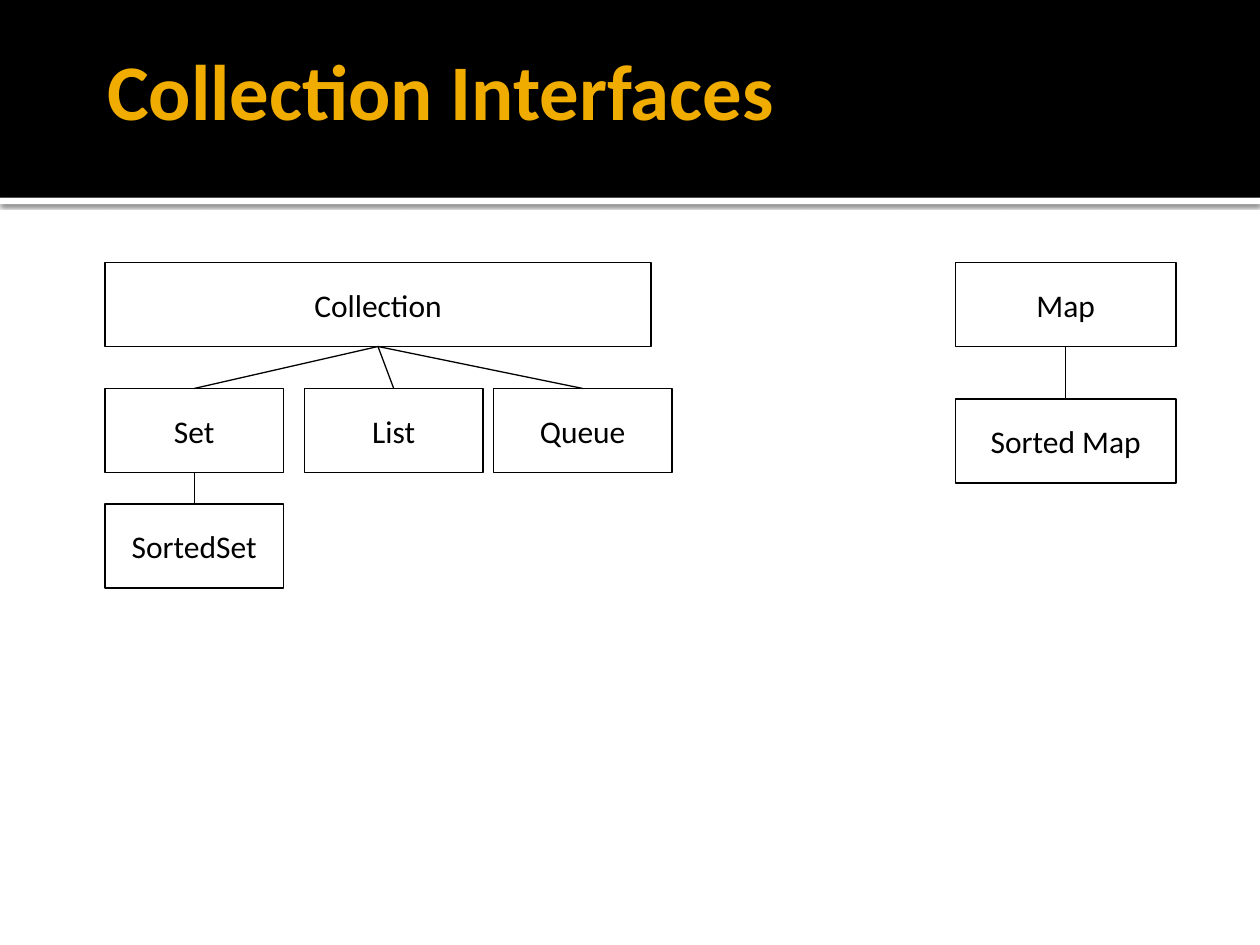
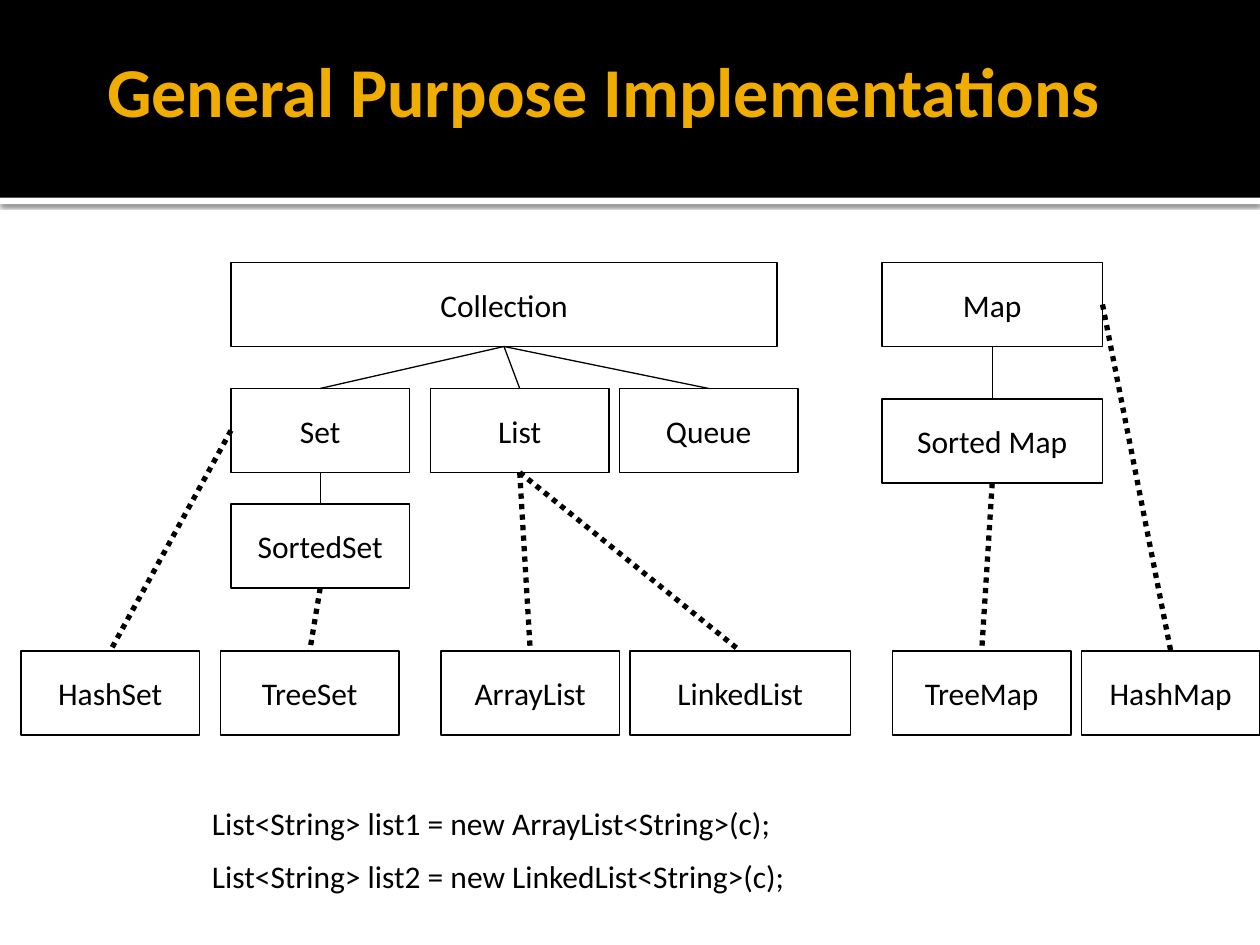
from lxml.etree import SubElement
from pptx import Presentation
from pptx.dml.color import RGBColor
from pptx.enum.dml import MSO_LINE
from pptx.enum.shapes import MSO_CONNECTOR, MSO_SHAPE
from pptx.enum.text import MSO_ANCHOR, MSO_AUTO_SIZE, PP_ALIGN
from pptx.oxml import parse_xml
from pptx.oxml.ns import qn
from pptx.util import Inches, Pt

HEX = {"ink": "000000", "paper": "FFFFFF", "gold": "F0AD00"}
RGB = {name: RGBColor.from_string(code) for name, code in HEX.items()}
FONT = "Calibri"
UNIT = Inches(1) // 12  # grid step: twelve to the inch
HIGH = 8  # box height in grid steps
TOP, LEFT, BOTTOM, RIGHT = range(4)  # connection sites of a rectangle

SHADOW = (
    '<a:outerShdw xmlns:a="http://schemas.openxmlformats.org/drawingml/2006/main"'
    ' blurRad="31750" dist="10160" dir="5400000" rotWithShape="0">'
    f'<a:srgbClr val="{HEX["ink"]}"><a:alpha val="60000"/></a:srgbClr></a:outerShdw>'
)

# Title, size, left of the collection tree, left of the map tree
PAGES = [
    ("Collection Interfaces", 45, 10, 91),
    ("General Purpose Implementations", 40, 22, 84),
]
# Name, left, top, width: left counts from the left of its tree
SETS = [
    ("Collection", 0, 25, 52),
    ("Set", 0, 37, 17),
    ("List", 19, 37, 17),
    ("Queue", 37, 37, 17),
    ("SortedSet", 0, 48, 17),
]
MAPS = [("Map", 0, 25, 21), ("Sorted Map", 0, 38, 21)]
TREE = [
    ("Collection", "Set"),
    ("Collection", "List"),
    ("Collection", "Queue"),
    ("Set", "SortedSet"),
    ("Map", "Sorted Map"),
]
# Class, left, width, its interface, side of the interface
KINDS = [
    ("HashSet", 2, 17, "Set", LEFT),
    ("TreeSet", 21, 17, "SortedSet", BOTTOM),
    ("ArrayList", 42, 17, "List", BOTTOM),
    ("LinkedList", 60, 21, "List", BOTTOM),
    ("TreeMap", 85, 17, "Sorted Map", BOTTOM),
    ("HashMap", 103, 17, "Map", RIGHT),
]
CODE = [
    ("List<String> list1 = new ArrayList<String>(c);", 76, 78),
    ("List<String> list2 = new LinkedList<String>(c);", 81, 80),
]


def style(frame, size, tint="ink", bold=False, align=PP_ALIGN.LEFT):
    para = frame.paragraphs[0]
    para.alignment = align
    font = para.runs[0].font
    font.name, font.size, font.bold = FONT, Pt(size), bold
    font.color.rgb = RGB[tint]


def link(slide, start, side, end, width=0.75, dash=None):
    """Join a side of one box to the top of another."""
    line = slide.shapes.add_connector(MSO_CONNECTOR.STRAIGHT, 0, 0, 0, 0)
    line.begin_connect(start, side)
    line.end_connect(end, TOP)
    line.line.color.rgb = RGB["ink"]
    line.line.width = Pt(width)
    if dash:
        line.line.dash_style = dash
    SubElement(line._element.spPr, qn("a:effectLst"))


deck = Presentation()
deck.slide_width, deck.slide_height = Inches(10), Inches(7.5)
layout = deck.slide_layouts[5]
for holder in list(layout.placeholders)[1:]:
    holder._element.getparent().remove(holder._element)
slides = [deck.slides.add_slide(layout) for page in PAGES]

# Header bands, moved behind the title on the shared layout
bands = []
for tint, top, high in [("paper", 1.57, 0.05), ("ink", 0, 1.57)]:
    band = slides[0].shapes.add_shape(
        MSO_SHAPE.RECTANGLE, 0, Inches(top), deck.slide_width, Inches(high))
    band.fill.solid()
    band.fill.fore_color.rgb = RGB[tint]
    band.line.fill.background()
    band.shadow.inherit = False
    bands.append(band)
bands[0]._element.spPr.find(qn("a:effectLst")).append(parse_xml(SHADOW))
for spot, band in enumerate(bands, 2):
    layout.shapes._spTree.insert(spot, band._element)

for slide, (name, size, left, right) in zip(slides, PAGES):
    title = slide.shapes.title
    title.left, title.top = 9 * UNIT, UNIT
    title.width, title.height = 102 * UNIT, 15 * UNIT
    frame = title.text_frame
    frame.text = name
    frame.vertical_anchor = MSO_ANCHOR.MIDDLE
    frame.margin_left, frame.margin_right = Inches(0.1), Inches(0.05)
    style(frame, size, "gold", True)

    last = slide is slides[-1]
    plan = [(text, left + x, y, w) for text, x, y, w in SETS]
    plan += [(text, right + x, y, w) for text, x, y, w in MAPS]
    if last:
        plan += [(text, x, 62, w) for text, x, w, *rest in KINDS]

    boxes = {}
    for text, x, y, w in plan:
        box = slide.shapes.add_shape(
            MSO_SHAPE.RECTANGLE, x * UNIT, y * UNIT, w * UNIT, HIGH * UNIT)
        box.fill.background()
        box.line.color.rgb = RGB["ink"]
        box.line.width = Pt(0.75)
        box.shadow.inherit = False
        frame = box.text_frame
        frame.text = text
        frame.word_wrap = False
        frame.vertical_anchor = MSO_ANCHOR.MIDDLE
        style(frame, 18, align=PP_ALIGN.CENTER)
        boxes[text] = box

    for start, end in TREE:
        link(slide, boxes[start], BOTTOM, boxes[end])

    if last:
        for text, x, w, start, side in KINDS:
            link(slide, boxes[start], side, boxes[text], 3, MSO_LINE.ROUND_DOT)
        for text, y, w in CODE:
            note = slide.shapes.add_textbox(19 * UNIT, y * UNIT, w * UNIT, 6 * UNIT)
            frame = note.text_frame
            frame.text = text
            frame.word_wrap = False
            frame.auto_size = MSO_AUTO_SIZE.SHAPE_TO_FIT_TEXT
            style(frame, 18)

deck.save("out.pptx")
